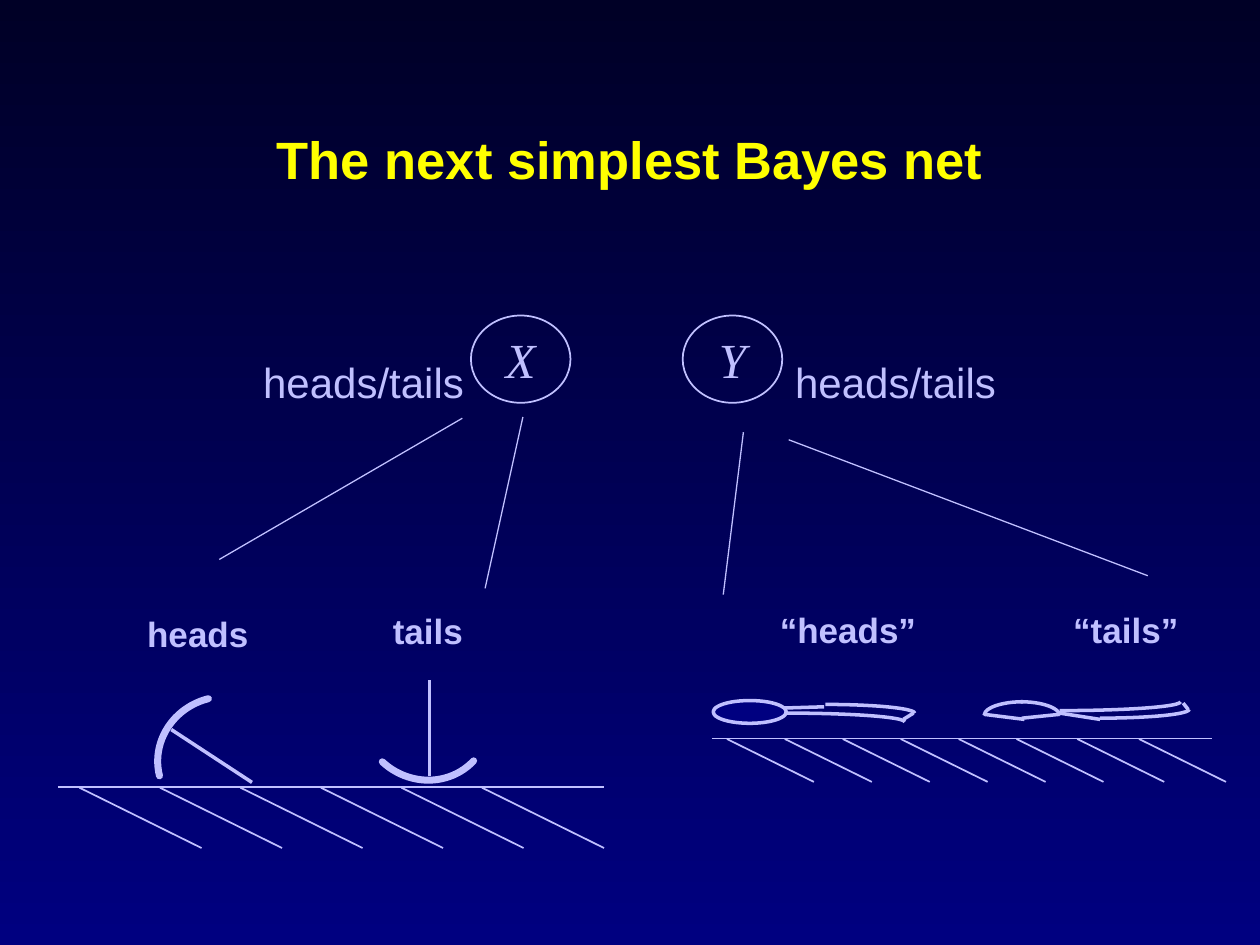
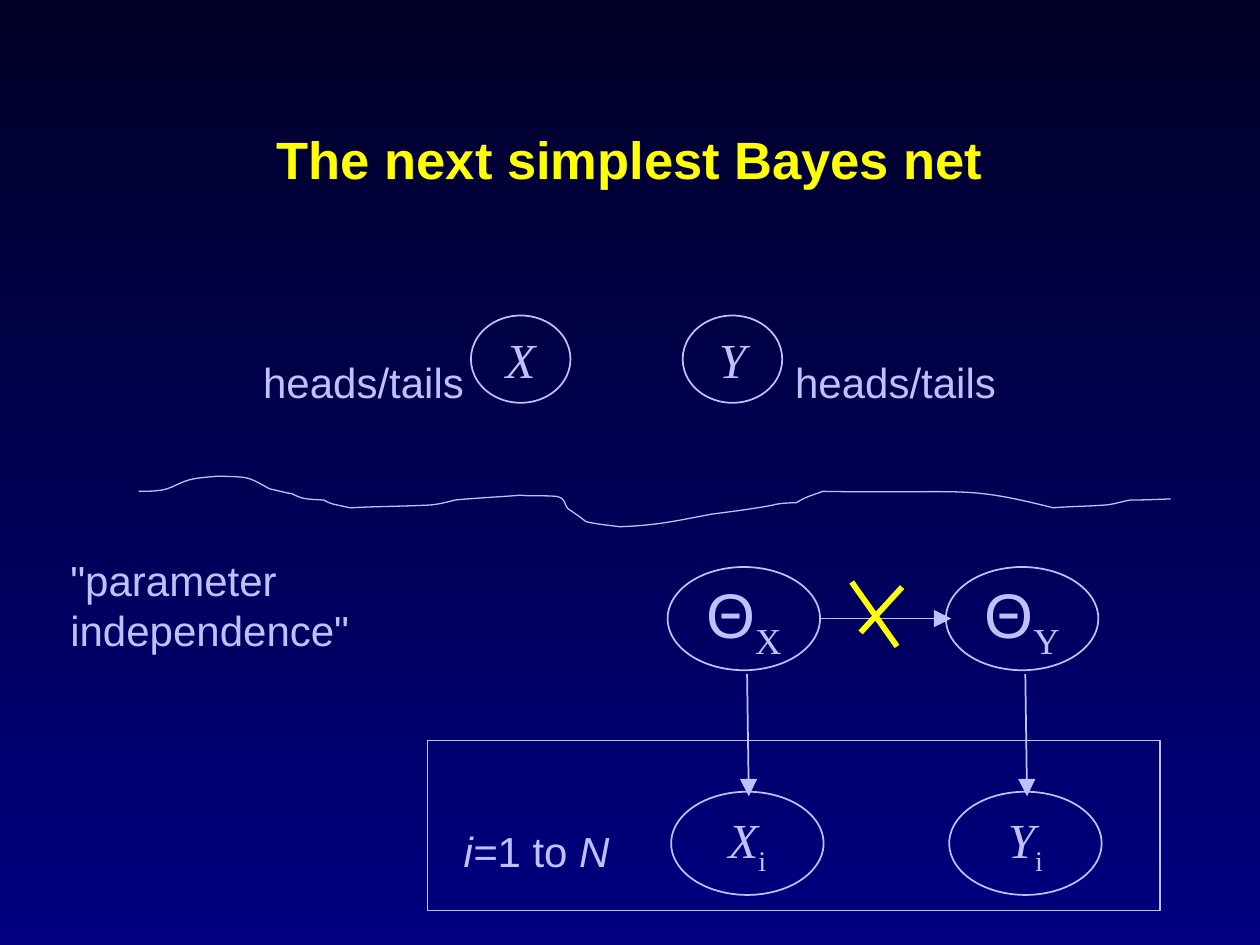
from typing import NamedTuple, Optional

import pptx
import pptx.dml.color
import pptx.enum.shapes
import pptx.enum.text
import pptx.oxml
import pptx.oxml.ns
import pptx.slide
import pptx.util
from lxml import etree

Pt = pptx.util.Pt
qn = pptx.oxml.ns.qn
ALIGN = pptx.enum.text.PP_ALIGN
ANCHOR = pptx.enum.text.MSO_ANCHOR
AUTOSIZE = pptx.enum.text.MSO_AUTO_SIZE
PRESET = pptx.enum.shapes.MSO_SHAPE

# Shared look
LILAC, YELLOW, NAVY, NIGHT = "C0C0FF", "FFFF00", "000080", "000026"
SANS, SERIF = "Arial", "Times New Roman"
TITLE = "The next simplest Bayes net"

Point = tuple[float, float]
Box = tuple[float, float, float, float]


class Run(NamedTuple):
    text: str
    size: float = 24
    font: str = SANS
    bold: bool = False
    italic: bool = False
    color: str = LILAC
    subscript: bool = False


class Label(NamedTuple):
    box: Box
    lines: list[list[Run]]
    align: ALIGN = ALIGN.LEFT


class Node(NamedTuple):
    x: float
    y: float
    w: float
    h: float
    runs: list[Run]


class Line(NamedTuple):
    start: Point
    end: Point
    width: float = 1
    color: str = LILAC
    arrow: bool = False


class QuarterArc(NamedTuple):
    box: Box  # box of the whole ellipse
    start: int  # degrees, clockwise from the right
    rotation: float = 0
    width: float = 2
    cap: str = "flat"


class Ground(NamedTuple):
    left: float
    right: float
    y: float
    hatch_starts: list[float]
    hatch_dx: float
    hatch_dy: float


# Drawing helpers
def rgb(value: str) -> pptx.dml.color.RGBColor:
    return pptx.dml.color.RGBColor.from_string(value)


def write(tf, lines: list[list[Run]], align: ALIGN) -> None:
    for i, runs in enumerate(lines):
        p = tf.paragraphs[0] if i == 0 else tf.add_paragraph()
        p.alignment = align
        for run in runs:
            r = p.add_run()
            r.text = run.text
            look = {"name": run.font, "size": Pt(run.size),
                    "bold": run.bold, "italic": run.italic}
            for name, value in look.items():
                setattr(r.font, name, value)
            r.font.color.rgb = rgb(run.color)
            if run.subscript:
                r._r.get_or_add_rPr().set("baseline", "-25000")


def outline(sp, width: float, fill: Optional[str] = None) -> None:
    sp.shadow.inherit = False
    sp.line.color.rgb = rgb(LILAC)
    sp.line.width = Pt(width)
    if fill:
        sp.fill.solid()
        sp.fill.fore_color.rgb = rgb(fill)
    else:
        sp.fill.background()


def add_label(s: pptx.slide.Slide, label: Label) -> None:
    tf = s.shapes.add_textbox(*map(Pt, label.box)).text_frame
    tf.word_wrap = False
    tf.auto_size = AUTOSIZE.SHAPE_TO_FIT_TEXT
    write(tf, label.lines, label.align)


def add_node(s: pptx.slide.Slide, node: Node) -> None:
    sp = s.shapes.add_shape(PRESET.OVAL, *map(Pt, node[:4]))
    outline(sp, 1)
    sp.text_frame.word_wrap = False
    sp.text_frame.vertical_anchor = ANCHOR.MIDDLE
    write(sp.text_frame, [node.runs], ALIGN.CENTER)


def add_line(s: pptx.slide.Slide, line: Line) -> None:
    sp = s.shapes.add_connector(pptx.enum.shapes.MSO_CONNECTOR.STRAIGHT,
                                *map(Pt, line.start + line.end))
    sp.line.color.rgb = rgb(line.color)
    sp.line.width = Pt(line.width)
    if line.arrow:
        etree.SubElement(sp.line._get_or_add_ln(), qn("a:tailEnd"),
                         type="triangle", w="lg", len="lg")
    etree.SubElement(sp._element.spPr, qn("a:effectLst"))


def add_arc(s: pptx.slide.Slide, arc: QuarterArc) -> None:
    sp = s.shapes.add_shape(PRESET.ARC, *map(Pt, arc.box))
    # An angle adjustment of 0.6 is one degree
    sp.adjustments[0] = arc.start * 0.6
    sp.adjustments[1] = (arc.start + 90) % 360 * 0.6
    sp.rotation = arc.rotation
    outline(sp, arc.width)
    sp.line._get_or_add_ln().set("cap", arc.cap)


def add_curve(s: pptx.slide.Slide, points: list[Point], width: float) -> None:
    """Points are a start, then two handles and an end for each piece."""
    builder = s.shapes.build_freeform(*map(Pt, points[0]))
    builder.add_line_segments([(Pt(x), Pt(y)) for x, y in points[1:]], close=False)
    sp = builder.convert_to_shape()
    outline(sp, width)
    # Turn each three straight segments into one cubic piece
    segments = list(sp._element.iter(qn("a:lnTo")))
    for i in range(0, len(segments), 3):
        piece = etree.Element(qn("a:cubicBezTo"))
        segments[i].addprevious(piece)
        for segment in segments[i:i + 3]:
            piece.append(segment[0])
            segment.getparent().remove(segment)


def add_ground(s: pptx.slide.Slide, g: Ground) -> None:
    add_line(s, Line((g.left, g.y), (g.right, g.y)))
    for x in g.hatch_starts:
        add_line(s, Line((x, g.y + 0.3), (x + g.hatch_dx, g.y + g.hatch_dy)))


def add_slide(prs) -> pptx.slide.Slide:
    """Title and the X and Y nodes, shared by both slides."""
    s = prs.slides.add_slide(prs.slide_layouts[5])
    title = s.shapes.title
    place = {"left": 78, "top": 48, "width": 564, "height": 90}
    for name, value in place.items():
        setattr(title, name, Pt(value))
    title.text_frame.vertical_anchor = ANCHOR.MIDDLE
    write(title.text_frame, [[Run(TITLE, 30, bold=True, color=YELLOW)]], ALIGN.CENTER)
    title.text_frame.paragraphs[0].line_spacing = 0.9
    for name, node_x, label_x in (("X", 269.1, 143.3), ("Y", 390.1, 447.3)):
        add_node(s, Node(node_x, 180.3, 56.9, 49.9, [Run(name, 28, SERIF, italic=True)]))
        add_label(s, Label((label_x, 200.2, 129.2, 36.3), [[Run("heads/tails")]]))
    return s


# Slide 1: thumbtack on the left, spoon on the right
GROUNDS = [
    Ground(33.1, 344.9, 449.8, [45.4 + 46 * i for i in range(6)], 69.8, 34.8),
    Ground(406.8, 692.6, 422,
           [415.4 + 33.1 * i for i in range(6)] + [615.6, 650.9], 49.7, 24.8),
]
OUTCOMES = [("tails", 217.4, 344.9, 55), ("heads", 77, 346.6, 73),
            ("“heads”", 438.5, 344.2, 92.5), ("“tails”", 606.2, 344.2, 75)]
BRANCHES = [((264.2, 239), (125.3, 319.7)), ((298.8, 238.3), (277.2, 336.2)),
            ((424.8, 247), (413.3, 339.8)), ((450.7, 251.3), (655.9, 329))]
TACK_PINS = [((245.5, 443.5), (245.5, 388.8)), ((97.9, 416.9), (144, 447.1))]
SPOON_BOWL = (407.5, 400.3, 41.8, 13)
SPOON_EDGES = [
    ((628.6, 411.1), (605.5, 407.5)), ((470.9, 403.9), (447.8, 404.6)),
    ((522, 407.5), (516.2, 411.1)), ((585.4, 411.1), (562.3, 408.2)),
    ((583.9, 410.4), (605.5, 408.2)), ((676.1, 401.8), (679, 405.4)),
]
ARCS = [
    # Tack heads
    QuarterArc((205.2, 373, 75.6, 72), 0, 43, 4, "rnd"),
    QuarterArc((90, 398.2, 75.6, 72), 0, 166, 4, "rnd"),
    # Spoon bowl and handles
    QuarterArc((562.3, 401, 44.6, 15.8), 180),
    QuarterArc((560.9, 401, 44.6, 15.8), 270),
    QuarterArc((577.4, 400.3, 102.2, 10.1), 0),
    QuarterArc((420.5, 402.5, 102.2, 10.1), 90, 180),
    QuarterArc((381.6, 407.5, 135.4, 10.1), 270),
    QuarterArc((536.4, 396, 138.2, 10.1), 0),
]


def outcomes_slide(prs) -> None:
    s = add_slide(prs)
    for ground in GROUNDS:
        add_ground(s, ground)
    for text, x, y, w in OUTCOMES:
        add_label(s, Label((x, y, w, 31), [[Run(text, 20, bold=True)]]))
    for width, ends in ((0.75, BRANCHES), (2, TACK_PINS), (2, SPOON_EDGES)):
        for start, end in ends:
            add_line(s, Line(start, end, width))
    outline(s.shapes.add_shape(PRESET.OVAL, *map(Pt, SPOON_BOWL)), 2, NAVY)
    for arc in ARCS:
        add_arc(s, arc)


# Slide 2: parameter independence
WAVE = [
    (79.2, 280.8), (83.5, 280.8), (87.8, 280.8), (92.2, 280.1),
    (97.2, 279.4), (101.5, 276.5), (105.8, 275),
    (111.6, 272.9), (117.4, 272.9), (123.1, 272.2),
    (128.9, 272.2), (134.6, 272.2), (139.7, 272.9),
    (144.7, 273.6), (149.8, 277.2), (154.1, 279.4),
    (157.7, 280.1), (162.7, 281.5), (167, 282.2),
    (173.5, 285.8), (176.4, 285.1), (185, 285.8),
    (186.5, 286.6), (187.9, 287.3), (190.1, 288),
    (193, 288.7), (200.2, 290.2), (200.2, 290.2),
    (214.6, 289.4), (229, 289.4), (243.4, 288.7),
    (248.4, 288.7), (254.2, 287.3), (259.9, 285.8),
    (264.2, 285.1), (289.4, 283.7), (297.4, 283),
    (303.8, 283.7), (311, 283), (318.2, 283.7),
    (324, 285.1), (321.8, 288), (324.7, 290.9),
    (326.2, 291.6), (334.1, 297.4), (334.8, 298.1),
    (340.6, 299.5), (347.8, 300.2), (354.2, 301),
    (376.6, 300.2), (387.4, 297.4), (406.8, 293.8),
    (418.3, 292.3), (429.8, 290.9), (441.4, 288.7),
    (445.7, 287.3), (455, 287.3), (455, 287.3),
    (460.8, 283.7), (464.4, 283), (470.2, 280.8),
    (553.7, 282.2), (550.1, 277.2), (601.9, 290.2),
    (611.3, 289.4), (620.6, 289.4), (630, 288.7),
    (635, 288.7), (640.8, 286.6), (645.8, 285.8),
    (653.8, 285.8), (668.9, 285.1), (668.9, 285.1),
]
PLATE = (244.5, 423.2, 418.5, 97.2)
CROSS = [((486.7, 332.6), (512.6, 369.4)), ((515.5, 335.5), (491.8, 361.4))]


def independence_slide(prs) -> None:
    s = add_slide(prs)
    add_curve(s, WAVE, 0.75)
    outline(s.shapes.add_shape(PRESET.RECTANGLE, *map(Pt, PLATE)), 0.75)
    for name, theta_x, sample_x in (("X", 381.5, 383.5), ("Y", 540.5, 542.4)):
        add_node(s, Node(theta_x, 324, 87.1, 59, [
            Run("Θ", 36), Run(name, 36, SERIF, subscript=True)]))
        add_node(s, Node(sample_x, 452.4, 87.1, 59, [
            Run(name, 28, SERIF, italic=True), Run("i", 28, SERIF, subscript=True)]))
        add_line(s, Line((theta_x + 45.4, 385.2), (theta_x + 46.4, 455), arrow=True))
    add_line(s, Line((468.7, 353.5), (543.6, 353.5), arrow=True))
    add_label(s, Label((257.6, 468, 98, 36.3), [[
        Run("i=", italic=True), Run("1 to "), Run("N", italic=True)]], ALIGN.CENTER))
    add_label(s, Label((33.1, 313.2, 173.8, 64.8),
                       [[Run('"parameter')], [Run('independence"')]]))
    for start, end in CROSS:
        add_line(s, Line(start, end, 3.25, YELLOW))


def main() -> None:
    prs = pptx.Presentation()
    prs.slide_width, prs.slide_height = Pt(720), Pt(540)
    # Night-to-navy background for every slide
    fill = prs.slide_master.background.fill
    fill.gradient()
    fill.gradient_angle = 270
    for stop, position, color in zip(fill.gradient_stops, (0, 1), (NIGHT, NAVY)):
        stop.position = position
        stop.color.rgb = rgb(color)
    outcomes_slide(prs)
    independence_slide(prs)
    prs.save("out.pptx")


if __name__ == "__main__":
    main()
